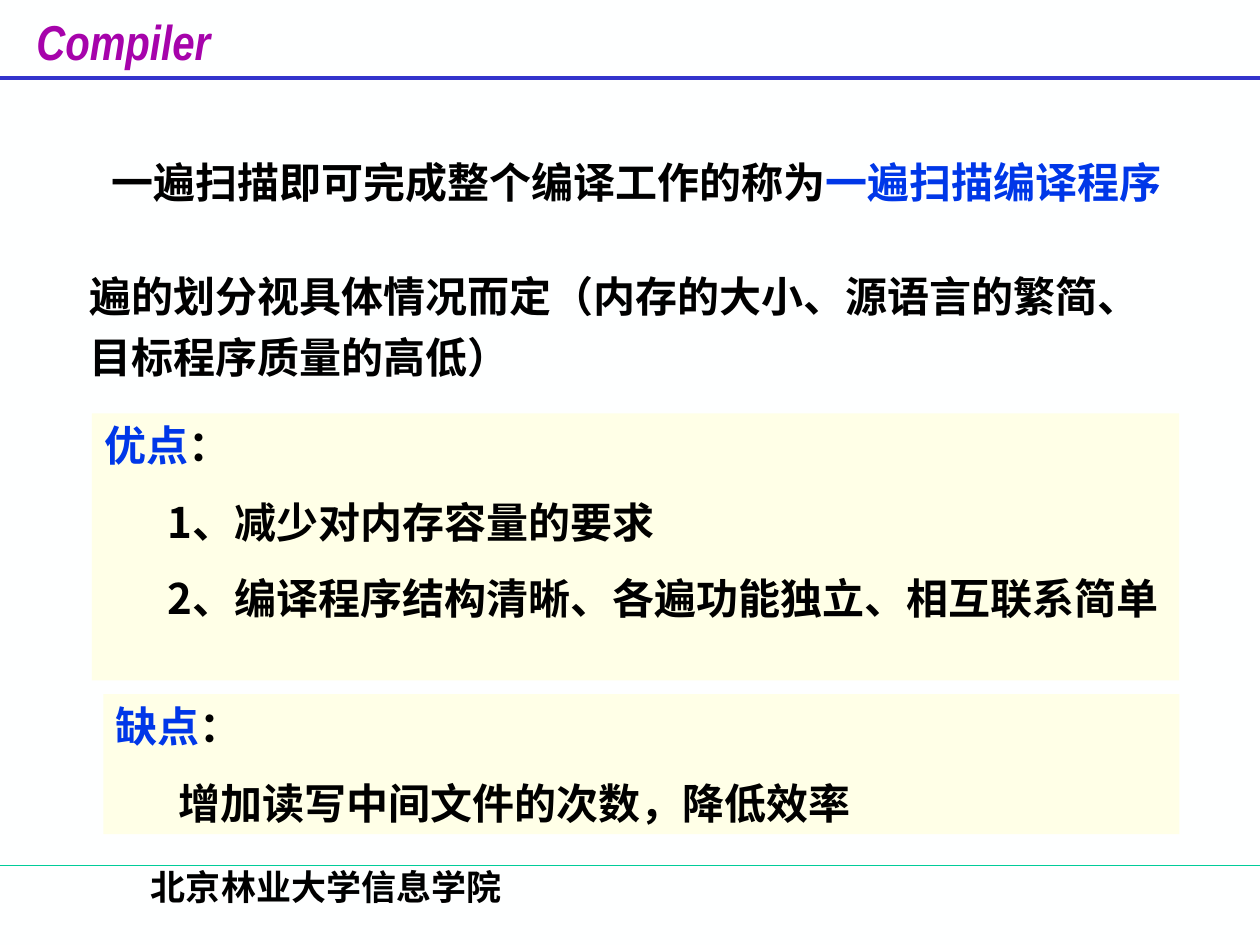
from pptx import Presentation
from pptx import util as u
from pptx.dml.color import RGBColor
from pptx.enum import shapes, text
from pptx.oxml.ns import qn
from lxml import etree

Pt = u.Pt
BLACK, BLUE, PURPLE, CREAM = "000000", "0037E8", "A603AB", "FFFFE7"
SERIF, SANS, NARROW = "Times New Roman", "Noto Sans CJK SC", "Arial Narrow"
CENTER, LEFT = text.PP_ALIGN.CENTER, text.PP_ALIGN.LEFT
MIDDLE, TOP = text.MSO_ANCHOR.MIDDLE, text.MSO_ANCHOR.TOP

RULES = [(44.64, "3333CC", 2.25), (494.64, "00CC99", 0.75)]

# Each paragraph is a list of (words, colour)
BOXES = [
    dict(at=(13.68, 2.88, 137.52, 44.64), wrap=False, font=NARROW, size=28, italic=True,
         paragraphs=[[("Compiler", PURPLE)]]),
    dict(at=(37.44, 491.04, 298.08, 36), align=CENTER, size=20,
         paragraphs=[[("北京林业大学信息学院", BLACK)]]),
    dict(at=(56.88, 85.68, 614.16, 36), align=CENTER, wrap=False, anchor=MIDDLE,
         paragraphs=[[("一遍扫描即可完成整个编译工作的称为", BLACK), ("一遍扫描编译程序", BLUE)]]),
    dict(at=(43.92, 145.44, 606.96, 76.32), anchor=MIDDLE, spacing=1.2,
         paragraphs=[[("遍的划分视具体情况而定（内存的大小、源语言的繁简、目标程序质量的高低）", BLACK)]]),
    dict(at=(52.56, 236.16, 621.36, 152.64), fill=CREAM, font=SANS,
         paragraphs=[[("优点", BLUE), ("：", BLACK)],
                     [("1、减少对内存容量的要求", BLACK)],
                     [("2、编译程序结构清晰、各遍功能独立、相互联系简单", BLACK)]]),
    dict(at=(59.04, 396.72, 614.88, 79.92), fill=CREAM, font=SANS,
         paragraphs=[[("缺点", BLUE), ("：", BLACK)],
                     [("增加读写中间文件的次数，降低效率", BLACK)]]),
]


def rgb(value):
    return RGBColor.from_string(value)


def assign(obj, values):
    for name, value in values.items():
        setattr(obj, name, value)


def add_rule(slide, y, color, width):
    line = slide.shapes.add_connector(shapes.MSO_CONNECTOR.STRAIGHT, 0, Pt(y), Pt(720), Pt(y))
    line.line.color.rgb = rgb(color)
    line.line.width = Pt(width)
    etree.SubElement(line._element.spPr, qn("a:effectLst"))


def add_box(slide, at, paragraphs, fill=None, font=SERIF, size=24, italic=False,
            align=LEFT, anchor=TOP, wrap=True, spacing=None):
    """Add a text box, or a filled panel whose later paragraphs are indented."""
    place = [Pt(v) for v in at]
    if fill:
        sp = slide.shapes.add_shape(shapes.MSO_SHAPE.RECTANGLE, *place)
        sp.shadow.inherit = False
        sp.fill.solid()
        sp.fill.fore_color.rgb = rgb(fill)
        sp.line.fill.background()
    else:
        sp = slide.shapes.add_textbox(*place)
    tf = sp.text_frame
    assign(tf, dict(word_wrap=wrap, vertical_anchor=anchor))
    for i, runs in enumerate(paragraphs):
        p = tf.add_paragraph() if i else tf.paragraphs[0]
        assign(p, dict(alignment=align, line_spacing=spacing))
        if i:
            assign(p, dict(level=1, space_before=Pt(15)))
            p._p.get_or_add_pPr().set("marL", str(Pt(36)))
        for words, color in runs:
            r = p.add_run()
            r.text = words
            assign(r.font, dict(name=font, size=Pt(size), bold=True, italic=italic))
            r.font.color.rgb = rgb(color)


prs = Presentation()
assign(prs, dict(slide_width=Pt(720), slide_height=Pt(540)))
s = prs.slides.add_slide(prs.slide_layouts[6])
s.background.fill.solid()
s.background.fill.fore_color.rgb = rgb("FEFFFF")
for rule in RULES:
    add_rule(s, *rule)
for box in BOXES:
    add_box(s, **box)
prs.save("out.pptx")
